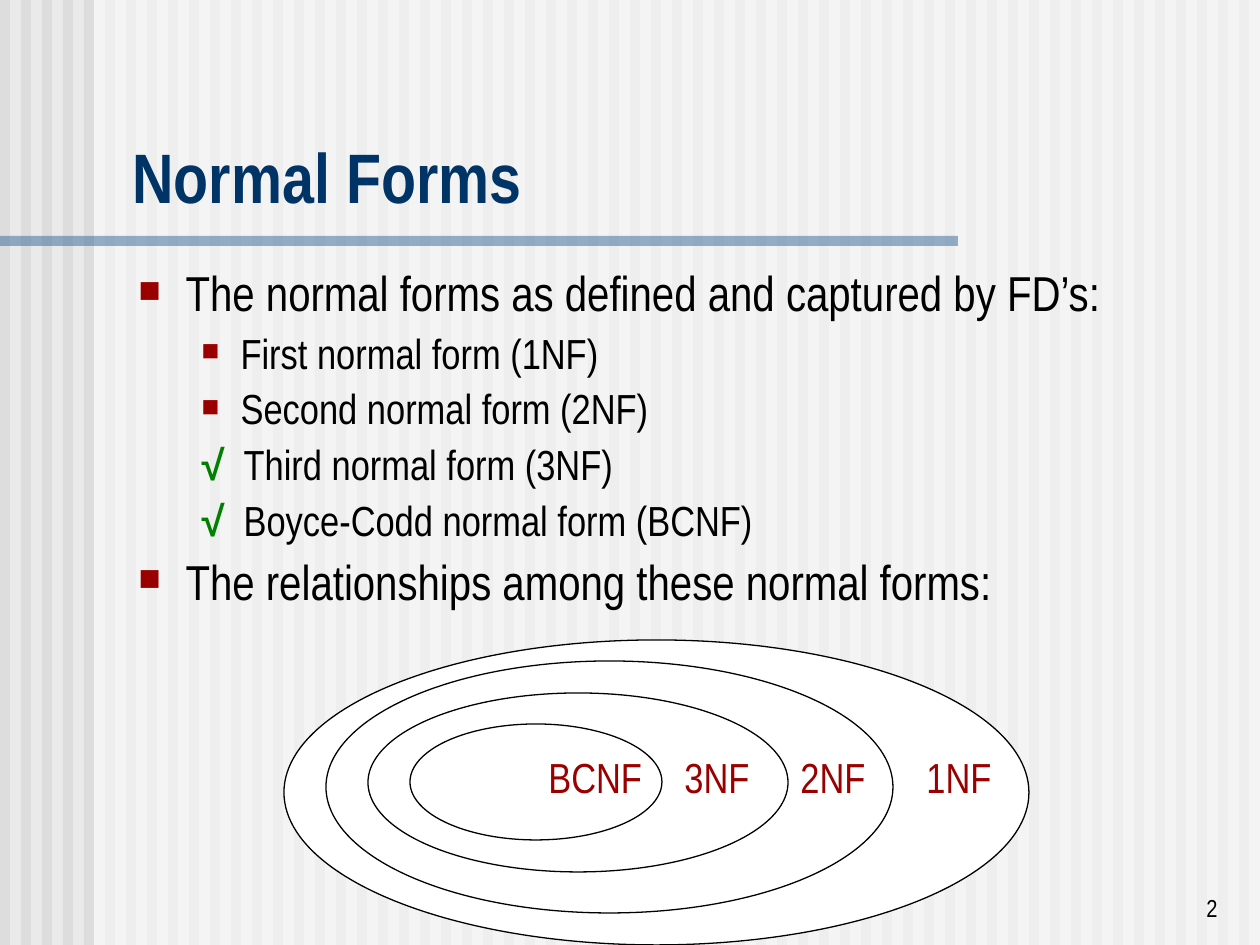
import pptx
import pptx.dml.color
import pptx.enum.shapes
import pptx.enum.text
import pptx.oxml
import pptx.oxml.ns
import pptx.util
from lxml import etree

RGBColor = pptx.dml.color.RGBColor
Shape = pptx.enum.shapes.MSO_SHAPE
Anchor = pptx.enum.text.MSO_ANCHOR
Align = pptx.enum.text.PP_ALIGN
AutoSize = pptx.enum.text.MSO_AUTO_SIZE
Pt = pptx.util.Pt
qn = pptx.oxml.ns.qn

BACKGROUND = RGBColor(0xEA, 0xEA, 0xEA)
STRIPE = RGBColor(0xDD, 0xDD, 0xDD)
WHITE = RGBColor(0xFF, 0xFF, 0xFF)
BLACK = RGBColor(0x00, 0x00, 0x00)
BLUE = RGBColor(0x33, 0x66, 0x99)
NAVY = RGBColor(0x00, 0x33, 0x66)
RED = RGBColor(0x9A, 0x00, 0x00)
GREEN = RGBColor(0x00, 0x80, 0x00)
FONT = "Arial Narrow"
PX = 914400 // 126


def add_filled(kind, left, top, width, height, color, opacity=100):
    """Add an unlined shape, measured in px, with a solid fill."""
    shape = page.shapes.add_shape(kind, left * PX, top * PX, width * PX, height * PX)
    shape.shadow.inherit = False
    shape.line.fill.background()
    shape.fill.solid()
    shape.fill.fore_color.rgb = color
    if opacity < 100:
        color_element = shape.fill._xPr.find(qn("a:solidFill"))[0]
        etree.SubElement(color_element, qn("a:alpha"), val=str(opacity * 1000))
    return shape


def style(font, size, color, bold=False):
    font.name = FONT
    font.size = Pt(size)
    font.color.rgb = color
    font.bold = bold


deck = pptx.Presentation()
deck.slide_width = 1260 * PX
deck.slide_height = 945 * PX
page = deck.slides.add_slide(deck.slide_layouts[1])
page.background.fill.solid()
page.background.fill.fore_color.rgb = BACKGROUND

# Striped backdrop, veiled except at the left edge, and the title rule
for left in range(0, 1260, 21):
    add_filled(Shape.RECTANGLE, left, 0, 10, 945, STRIPE)
add_filled(Shape.RECTANGLE, 94, 0, 1166, 945, WHITE, opacity=50)
add_filled(Shape.RECTANGLE, 0, 236, 958, 10, BLUE, opacity=50)

# Nested normal forms, outermost first: label, ellipse, label left and width
normal_forms = [
    ("1NF", (284, 640, 745, 305), 914, 94),
    ("2NF", (326, 661, 567, 252), 788, 94),
    ("3NF", (368, 693, 420, 179), 672, 94),
    ("BCNF", (410, 724, 252, 116), 536, 124),
]
for label, ellipse_place, label_left, label_width in normal_forms:
    ellipse = add_filled(Shape.OVAL, *ellipse_place, WHITE)
    ellipse.line.color.rgb = BLACK
    ellipse.line.width = Pt(0.75)
    box = page.shapes.add_textbox(label_left * PX, 745 * PX, label_width * PX, 63 * PX)
    box.text_frame.word_wrap = True
    para = box.text_frame.paragraphs[0]
    para.text = label
    style(para.font, 24, RED)

# Title
title = page.shapes.title
title.left, title.top, title.width, title.height = 120 * PX, 127 * PX, 1125 * PX, 97 * PX
title.text_frame.vertical_anchor = Anchor.BOTTOM
title.text_frame.auto_size = AutoSize.NONE
para = title.text_frame.paragraphs[0]
para.text = "Normal Forms"
para.alignment = Align.LEFT
style(para.font, 40, NAVY, bold=True)

# Body list: text, level, ticked
body = page.placeholders[1]
body.left, body.top, body.width, body.height = 126 * PX, 263 * PX, 1118 * PX, 441 * PX
body.text_frame.auto_size = AutoSize.NONE
items = [
    ("The normal forms as defined and captured by FD’s:", 0, False),
    ("First normal form (1NF)", 1, False),
    ("Second normal form (2NF)", 1, False),
    ("Third normal form (3NF)", 1, True),
    ("Boyce-Codd normal form (BCNF)", 1, True),
    ("The relationships among these normal forms:", 0, False),
]
for index, (text, level, ticked) in enumerate(items):
    para = body.text_frame.paragraphs[0] if index == 0 else body.text_frame.add_paragraph()
    para.level = level
    para.line_spacing = 0.9
    para.space_before = Pt(6 if level else 7)
    style(para.font, 24 if level else 28, BLACK)
    if ticked:
        span = para.add_run()
        span.text = "√"
        style(span.font, 24, GREEN, bold=True)
        text = "\t" + text
    para.add_run().text = text

    margin, hanging = (105, 42) if ticked else (102, 39) if level else (47, 47)
    properties = para._p.get_or_add_pPr()
    properties.set("marL", str(margin * PX))
    properties.set("indent", str(-hanging * PX))
    # Bullet elements must precede the default run properties
    run_defaults = properties.find(qn("a:defRPr"))
    if ticked:
        run_defaults.addprevious(etree.Element(qn("a:buNone")))
    else:
        bullet_color = etree.Element(qn("a:buClr"))
        etree.SubElement(bullet_color, qn("a:srgbClr"), val=str(RED))
        for element in (
            bullet_color,
            etree.Element(qn("a:buSzPct"), val="70000" if level else "75000"),
            etree.Element(qn("a:buFont"), typeface=FONT),
            etree.Element(qn("a:buChar"), char="■"),
        ):
            run_defaults.addprevious(element)

# Bring the placeholders in front of the backdrop
for placeholder in (title, body):
    page.shapes._spTree.append(placeholder._element)

# Page number
box = page.shapes.add_textbox(968 * PX, 866 * PX, 262 * PX, 63 * PX)
box.text_frame.word_wrap = True
box.text_frame.vertical_anchor = Anchor.BOTTOM
para = box.text_frame.paragraphs[0]
para.text = "2"
para.alignment = Align.RIGHT
style(para.font, 14, BLACK)

deck.save("out.pptx")
